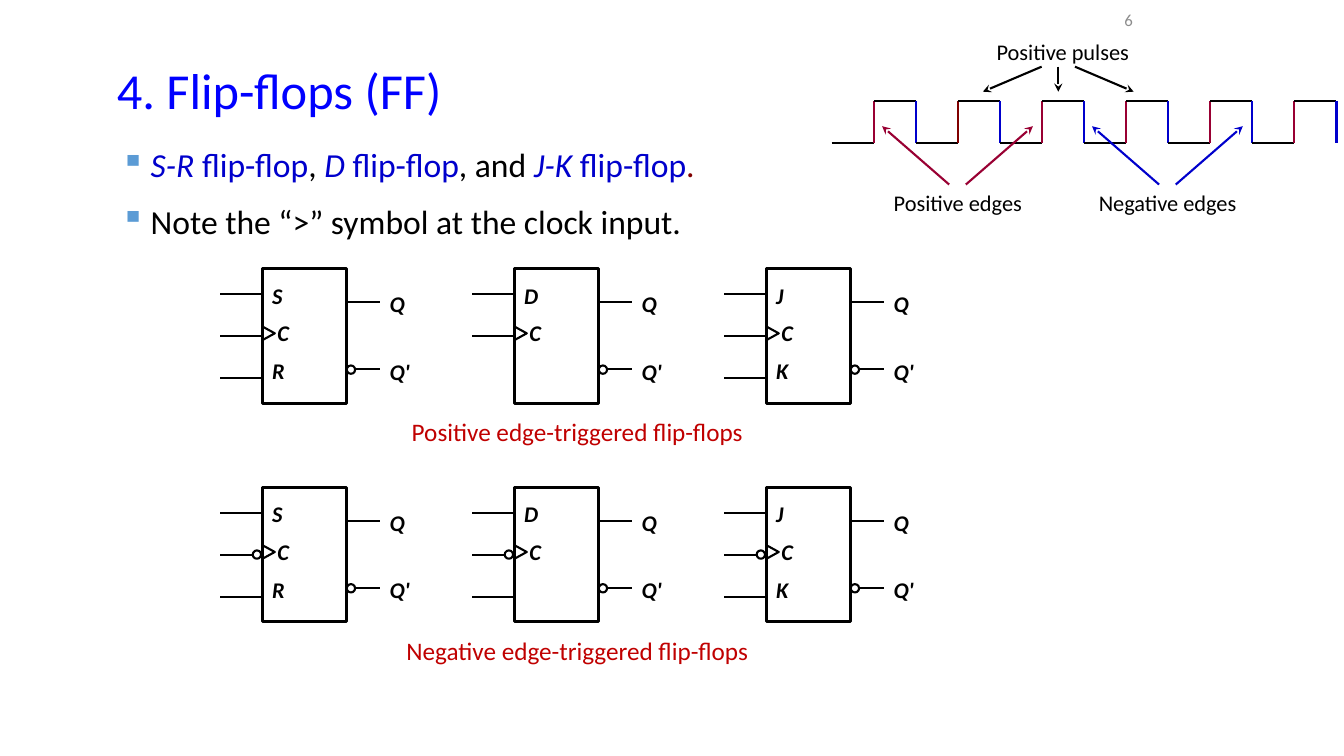
from dataclasses import dataclass
from lxml import etree
from pptx import Presentation
from pptx.dml.color import RGBColor
from pptx.enum.shapes import MSO_CONNECTOR, MSO_SHAPE
from pptx.enum.text import MSO_ANCHOR, PP_ALIGN
from pptx.oxml.ns import qn
from pptx.util import Cm, Pt

LEFT, MID, RIGHT = PP_ALIGN.LEFT, PP_ALIGN.CENTER, PP_ALIGN.RIGHT
TOP, CENTRE = MSO_ANCHOR.TOP, MSO_ANCHOR.MIDDLE
RECT, OVAL, WEDGE = MSO_SHAPE.RECTANGLE, MSO_SHAPE.OVAL, MSO_SHAPE.ISOSCELES_TRIANGLE
STRAIGHT = MSO_CONNECTOR.STRAIGHT


@dataclass(frozen=True)
class Theme:
    font: str = "Calibri"
    ink: str = "000000"
    title: str = "0000FF"
    blue: str = "0000CC"
    rise: str = "990033"
    brown: str = "800000"
    red: str = "C00000"
    grey: str = "8C8C8C"
    mark: str = "5B9BD5"
    head: int = 36
    body: int = 24
    note: int = 18
    label: int = 16
    small: int = 12
    thin: float = 1.5
    thick: float = 2


class Sketch:
    def __init__(self, slide, theme):
        self.slide = slide
        self.theme = theme

    def run(self, para, text, size, color, bold=False, italic=False):
        run = para.add_run()
        run.text = text
        font = run.font
        font.name, font.size = self.theme.font, Pt(size)
        font.bold, font.italic = bold, italic
        font.color.rgb = RGBColor.from_string(color)

    def title(self, text, left, top, width, height):
        box = self.slide.shapes.title
        box.left, box.top, box.width, box.height = Cm(left), Cm(top), Cm(width), Cm(height)
        frame = box.text_frame
        frame.word_wrap, frame.vertical_anchor = True, CENTRE
        para = frame.paragraphs[0]
        para.alignment, para.line_spacing = LEFT, 0.9
        self.run(para, text, self.theme.head, self.theme.title)

    def box(self, left, top, width, height, anchor=TOP):
        frame = self.slide.shapes.add_textbox(Cm(left), Cm(top), Cm(width), Cm(height)).text_frame
        frame.word_wrap, frame.vertical_anchor = True, anchor
        return frame

    def para(self, frame, index, gap=0):
        para = frame.add_paragraph() if index else frame.paragraphs[0]
        if index:
            para.space_before = Pt(gap)
        return para

    def text(self, text, left, top, width, height, size, color, align=MID, anchor=TOP):
        para = self.box(left, top, width, height, anchor).paragraphs[0]
        para.alignment = align
        self.run(para, text, size, color)

    def bullets(self, items, left, top, width, height, gap):
        frame = self.box(left, top, width, height)
        for index, item in enumerate(items):
            para = self.para(frame, index, gap)
            props = para._p.get_or_add_pPr()
            props.set("marL", str(Cm(0.76)))
            props.set("indent", str(-Cm(0.76)))
            tint = etree.SubElement(props, qn("a:buClr"))
            etree.SubElement(tint, qn("a:srgbClr")).set("val", self.theme.mark)
            etree.SubElement(props, qn("a:buChar")).set("char", "▪")
            for text, color, italic in item:
                self.run(para, text, self.theme.body, color, italic=italic)

    def labels(self, items, left, top, width, height, gap):
        frame = self.box(left, top, width, height)
        for index, item in enumerate(items):
            para = self.para(frame, index, gap)
            if item == "C":
                para._p.get_or_add_pPr().set("marL", str(Cm(0.13)))
            self.run(para, item, self.theme.label, self.theme.ink, True, True)

    def shape(self, kind, left, top, width, height, weight, turn=0):
        shape = self.slide.shapes.add_shape(kind, Cm(left), Cm(top), Cm(width), Cm(height))
        shape.shadow.inherit = False
        shape.fill.background()
        shape.line.color.rgb = RGBColor.from_string(self.theme.ink)
        shape.line.width = Pt(weight)
        shape.rotation = turn

    def line(self, x1, y1, x2, y2, color=Theme.ink, arrow=False):
        link = self.slide.shapes.add_connector(STRAIGHT, Cm(x1), Cm(y1), Cm(x2), Cm(y2))
        link.line.color.rgb = RGBColor.from_string(color)
        link.line.width = Pt(self.theme.thin)
        if arrow:
            etree.SubElement(link.line._ln, qn("a:tailEnd")).set("type", "stealth")
        etree.SubElement(link._element.spPr, qn("a:effectLst"))

    def dot(self, left, top):
        self.shape(OVAL, left, top, 0.21, 0.21, self.theme.thin)

    def latch(self, left, top, pins, leads, falling):
        self.shape(RECT, left, top, 2.12, 3.39, self.theme.thick)
        for index in range(leads):
            y = top + 0.64 + 1.06 * index
            end = left - 0.21 if falling and index == 1 else left
            self.line(left - 1.06, y, end, y)
        self.line(left + 2.12, top + 0.85, left + 2.96, top + 0.85)
        self.dot(left + 2.13, top + 2.44)
        self.line(left + 2.34, top + 2.54, left + 2.96, top + 2.54)
        self.shape(WEDGE, left, top + 1.48, 0.33, 0.3, self.theme.thin, 90)
        if falling:
            self.dot(left - 0.24, top + 1.59)
        self.labels(pins, left, top + 0.21, 1.48, 2.97, 7.7)
        self.labels(["Q", "Q'"], left + 2.96, top + 0.42, 1.28, 2.7, 29)

    def wave(self, left, high, step, count):
        low = high + step
        for index in range(count):
            start = left + 2 * step * index
            rise, fall = start + step, start + 2 * step
            tint = self.theme.brown if index == 1 else self.theme.rise
            self.line(start, low, rise, low)
            self.line(rise, high, rise, low, tint)
            self.line(rise, high, fall, high)
            self.line(fall, high, fall, low, self.theme.blue)


def main():
    deck = Presentation()
    deck.slide_width, deck.slide_height = Cm(33.87), Cm(19.05)
    look = Theme()
    art = Sketch(deck.slides.add_slide(deck.slide_layouts[5]), look)

    art.title("4. Flip-flops (FF)", 2.69, 1.45, 23.39, 1.78)
    art.text("6", 26.39, 0.05, 2.41, 0.91, look.small, look.grey, RIGHT, CENTRE)
    art.bullets([
        [("S-R", look.blue, True), (" flip-flop", look.blue, False), (", ", look.ink, False),
         ("D", look.blue, True), (" flip-flop", look.blue, False), (", and ", look.ink, False),
         ("J-K", look.blue, True), (" flip-flop", look.blue, False), (".", look.brown, False)],
        [("Note the “>” symbol at the clock input.", look.ink, False)],
    ], 2.79, 3.51, 22.86, 3.05, 11.5)

    rows = [("Positive", 6.77, False), ("Negative", 12.28, True)]
    for edge, top, falling in rows:
        for index, pins in enumerate(["SCR", "DC", "JCK"]):
            leads = 3 if falling else len(pins)
            art.latch(6.61 + 6.35 * index, top, pins, leads, falling)
        art.text(f"{edge} edge-triggered flip-flops", 9.47, top + 3.6, 10.16, 1.02,
                 look.note, look.red)

    art.wave(20.96, 2.54, 1.06, 6)
    art.text("Positive pulses", 24.56, 0.84, 4.45, 0.94, look.label, look.ink)
    art.text("Positive edges", 22.02, 4.65, 4.24, 0.94, look.label, look.ink)
    art.text("Negative edges", 27.1, 4.65, 4.65, 0.94, look.label, look.ink)
    for side in (-1, 0, 1):
        art.line(26.67 + 0.42 * side, 1.68, 26.67 + 1.9 * side, 2.31, arrow=True)
    for mid, color in ((24.13, look.rise), (29.42, look.blue)):
        for side in (-1, 1):
            art.line(mid + 0.21 * side, 4.65, mid + 1.9 * side, 3.18, color, True)

    deck.save("out.pptx")


if __name__ == "__main__":
    main()
